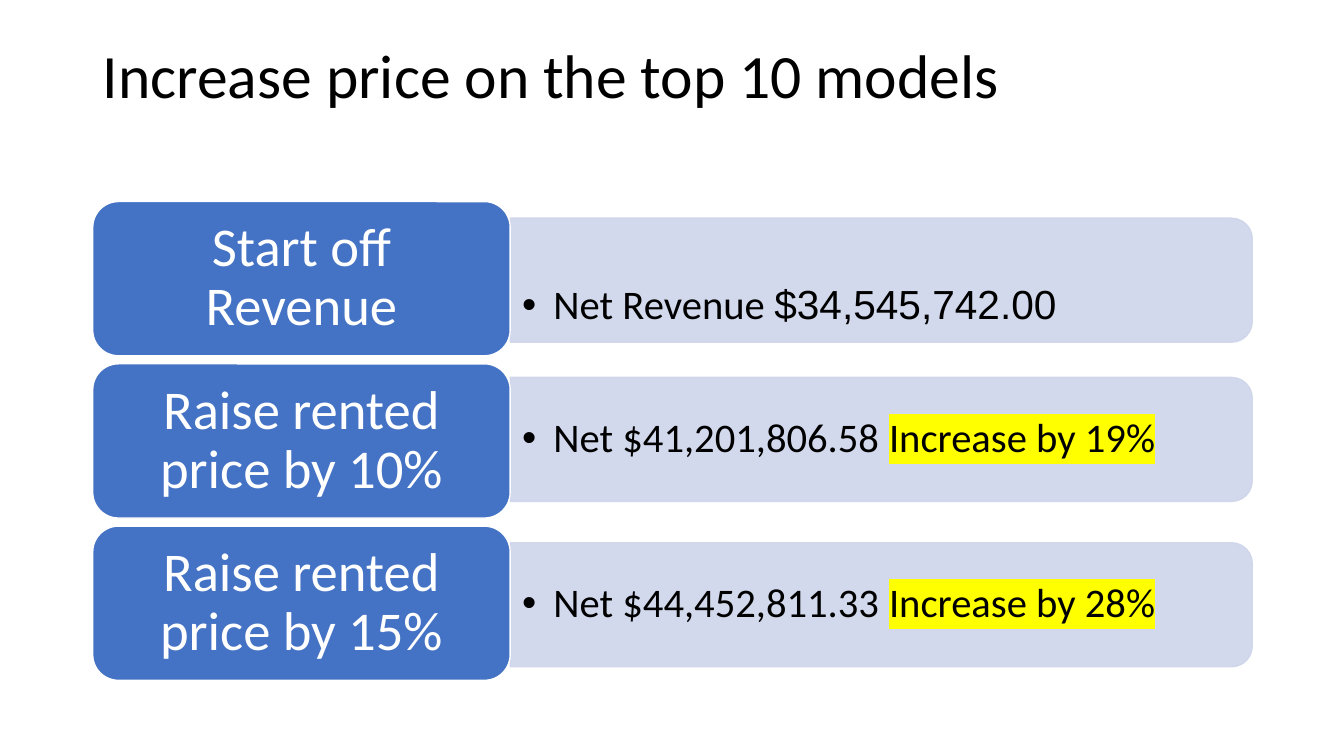
from dataclasses import dataclass

from lxml.etree import SubElement
from pptx import Presentation
from pptx.dml.color import RGBColor
from pptx.enum.shapes import MSO_SHAPE as Preset
from pptx.enum.text import MSO_ANCHOR as Anchor, PP_ALIGN as Align
from pptx.oxml.ns import qn
from pptx.shapes.autoshape import Shape
from pptx.slide import Slide
from pptx.text.text import TextFrame, _Paragraph as Paragraph
from pptx.util import Inches, Pt

COLORS = {
    "text": "000000",
    "label": "4472C4",
    "panel": "CFD5EA",
    "white": "FFFFFF",
    "highlight": "FFFF00",
}
LEFT = 0.92
LABEL_WIDTH, LABEL_HEIGHT = 4.14, 1.53
LABEL_TOP, LABEL_STEP = 2.0, 1.61
PANEL_LEFT = LEFT + LABEL_WIDTH
PANEL_WIDTH, PANEL_HEIGHT = 7.36, 1.23
BULLET_WIDTH, BULLET_HEIGHT = 7.3, 1.11
BULLET_INDENT = 0.31


@dataclass(frozen=True)
class Row:
    """One price scenario: its label, its result and the result's placement."""

    label: str
    result: str
    ending: str
    panel_center: float
    ending_font: str = "Calibri"
    highlight: str | None = None
    top_inset: float = 0.06


ROWS = [
    Row("Start off Revenue", "Net Revenue ", "$34,545,742.00", 2.78,
        ending_font="Arial", top_inset=0.58),
    Row("Raise rented price by 10%", "Net $41,201,806.58 ", "Increase by 19%", 4.36,
        highlight="highlight"),
    Row("Raise rented price by 15%", "Net $44,452,811.33 ", "Increase by 28%", 6.0,
        highlight="highlight"),
]


def add_text(paragraph: Paragraph, text: str, *, size: float, color: str = "text",
             font: str = "Calibri", align: Align = Align.LEFT,
             highlight: str | None = None) -> None:
    """Append a formatted run to a paragraph."""
    paragraph.alignment = align
    paragraph.line_spacing = 0.9
    run = paragraph.add_run()
    run.text = text
    run.font.size = Pt(size)
    run.font.name = font
    run.font.color.rgb = RGBColor.from_string(COLORS[color])
    if highlight:
        properties = run.font._element
        mark = SubElement(properties, qn("a:highlight"))
        SubElement(mark, qn("a:srgbClr"), val=COLORS[highlight])
        properties.find(qn("a:solidFill")).addnext(mark)


def set_frame(frame: TextFrame, *, left: float, top: float, right: float,
              bottom: float, anchor: Anchor = Anchor.MIDDLE) -> None:
    """Set the wrapping, insets and anchor of a text frame."""
    frame.word_wrap = True
    frame.vertical_anchor = anchor
    frame.margin_left, frame.margin_right = Inches(left), Inches(right)
    frame.margin_top, frame.margin_bottom = Inches(top), Inches(bottom)


def add_box(slide: Slide, preset: Preset, left: float, top: float, width: float,
            height: float, *, fill: str, line: str) -> Shape:
    """Add a filled and outlined preset shape."""
    shape = slide.shapes.add_shape(
        preset, Inches(left), Inches(top), Inches(width), Inches(height))
    shape.shadow.inherit = False
    shape.fill.solid()
    shape.fill.fore_color.rgb = RGBColor.from_string(COLORS[fill])
    shape.line.color.rgb = RGBColor.from_string(COLORS[line])
    shape.line.width = Pt(1)
    return shape


def add_panel(slide: Slide, row: Row) -> None:
    """Add the translucent panel and the bulleted result of a row."""
    panel = add_box(
        slide, Preset.ROUND_2_SAME_RECTANGLE,
        PANEL_LEFT + (PANEL_WIDTH - PANEL_HEIGHT) / 2,
        row.panel_center - PANEL_WIDTH / 2,
        PANEL_HEIGHT, PANEL_WIDTH, fill="panel", line="panel")
    panel.rotation = 90
    for color in panel._element.spPr.iter(qn("a:srgbClr")):
        SubElement(color, qn("a:alpha"), val="90000")

    box = slide.shapes.add_textbox(
        Inches(PANEL_LEFT), Inches(row.panel_center - BULLET_HEIGHT / 2),
        Inches(BULLET_WIDTH), Inches(BULLET_HEIGHT))
    set_frame(box.text_frame, left=0.12, top=row.top_inset, right=0.12, bottom=0.06)
    paragraph = box.text_frame.paragraphs[0]
    add_text(paragraph, row.result, size=29)
    add_text(paragraph, row.ending, size=29, font=row.ending_font,
             highlight=row.highlight)
    properties = paragraph._p.get_or_add_pPr()
    properties.set("marL", str(Inches(BULLET_INDENT)))
    properties.set("indent", str(-Inches(BULLET_INDENT)))
    SubElement(properties, qn("a:buFont"), typeface="Arial")
    SubElement(properties, qn("a:buChar"), char="•")


def add_label(slide: Slide, text: str, top: float) -> None:
    """Add the rounded label at the left of a row."""
    label = add_box(slide, Preset.ROUNDED_RECTANGLE, LEFT, top, LABEL_WIDTH,
                    LABEL_HEIGHT, fill="label", line="white")
    set_frame(label.text_frame, left=0.23, top=0.15, right=0.23, bottom=0.15)
    add_text(label.text_frame.paragraphs[0], text, size=39, color="white",
             align=Align.CENTER)


def add_title(slide: Slide, text: str) -> None:
    """Place and fill the title placeholder."""
    title = slide.shapes.title
    title.left, title.top = Inches(LEFT), Inches(0.4)
    title.width, title.height = Inches(11.5), Inches(1.45)
    set_frame(title.text_frame, left=0.1, top=0.05, right=0.1, bottom=0.05,
              anchor=Anchor.TOP)
    add_text(title.text_frame.paragraphs[0], text, size=44)


def main() -> None:
    """Build and save the presentation."""
    presentation = Presentation()
    presentation.slide_width = Inches(13.33)
    presentation.slide_height = Inches(7.5)
    slide = presentation.slides.add_slide(
        presentation.slide_layouts.get_by_name("Title Only"))
    add_title(slide, "Increase price on the top 10 models")
    for index, row in enumerate(ROWS):
        add_panel(slide, row)
        add_label(slide, row.label, LABEL_TOP + index * LABEL_STEP)
    presentation.save("out.pptx")


if __name__ == "__main__":
    main()
